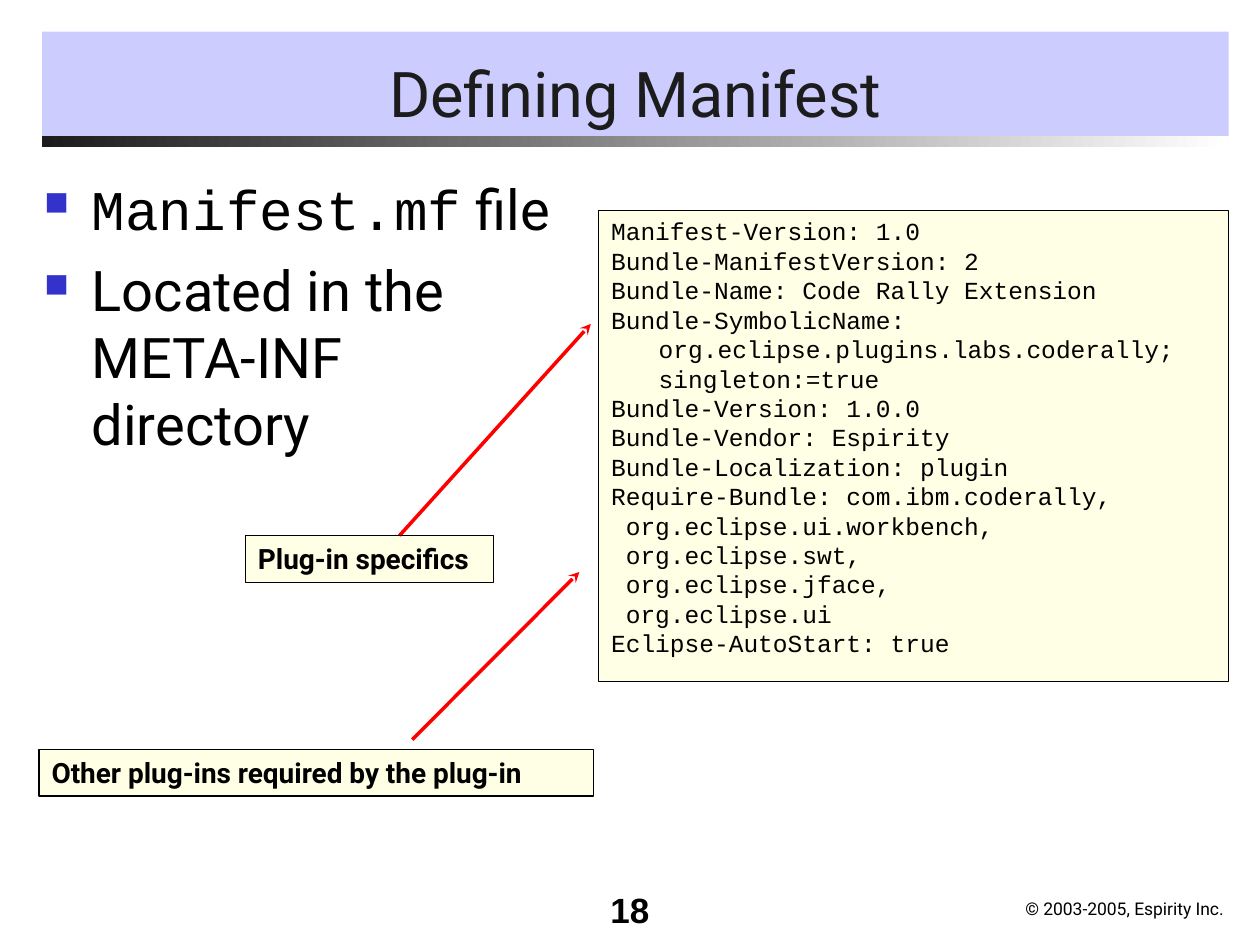
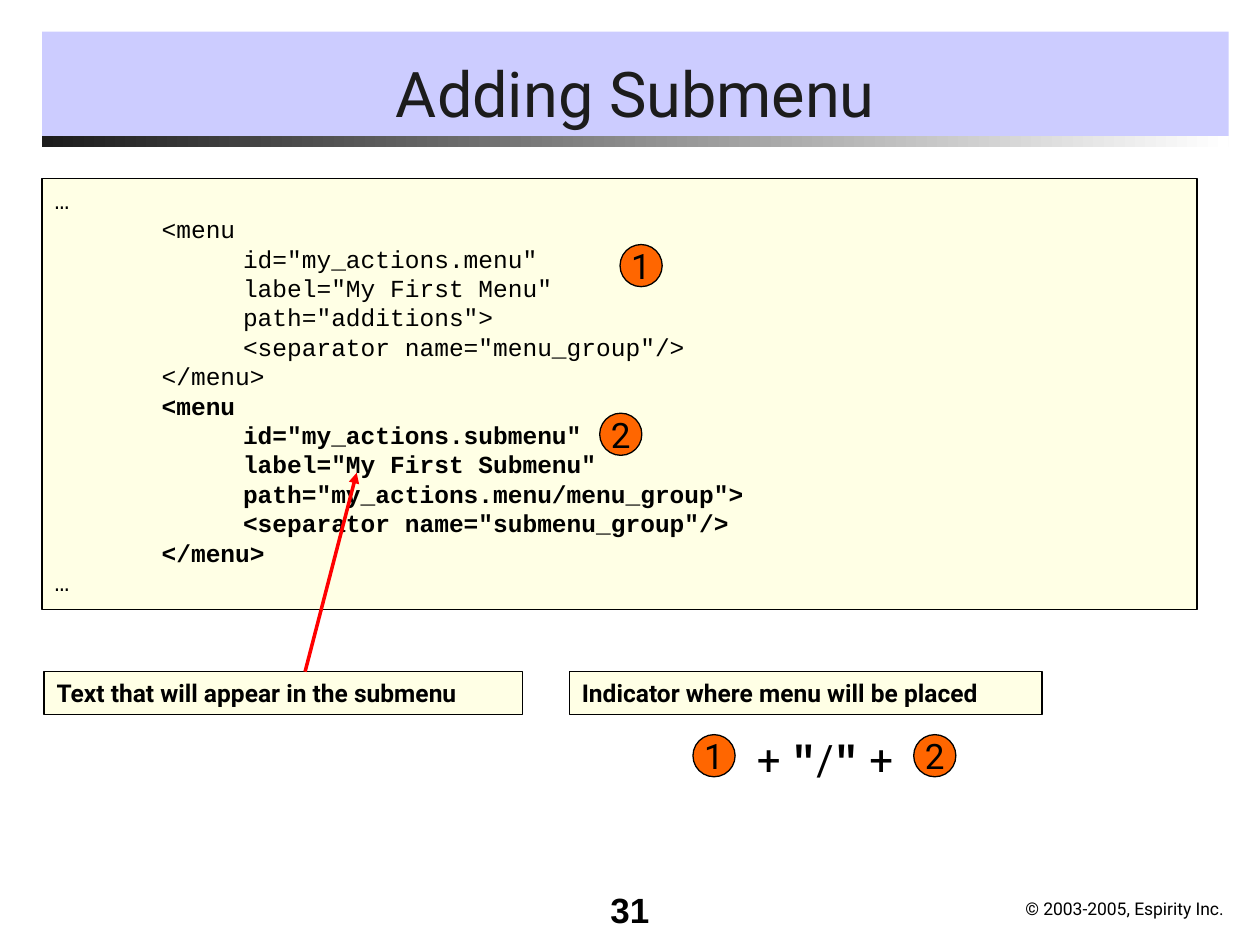
from lxml import etree
from pptx import Presentation
from pptx import util as u
from pptx.dml import color
from pptx.enum import shapes, text
from pptx.oxml.ns import qn

BLACK, CHARCOAL, WHITE = "000000", "1C1C1C", "FFFFFF"
LAVENDER, CREAM, ORANGE, RED, BULLET_BLUE = "CCCCFF", "FFFFCC", "FF6600", "FF0000", "3333CC"
SANS, MONO, NUMBER_FONT = "Roboto", "Courier New", "Arial"
LEFT, CENTER, RIGHT = text.PP_ALIGN.LEFT, text.PP_ALIGN.CENTER, text.PP_ALIGN.RIGHT
HANGING = 0.96
MENU_INDENT, ATTRIBUTE_INDENT = 2.16, 3.8
BADGE_SIZE = 0.85


def rgb(value):
    return color.RGBColor.from_string(value)


def add_xml(parent, tag, **attributes):
    return etree.SubElement(parent, qn(tag), attributes)


def set_indent(paragraph, margin, first_line):
    properties = paragraph._p.get_or_add_pPr()
    properties.set("marL", str(u.Cm(margin)))
    properties.set("indent", str(u.Cm(first_line)))


def add_bullet(paragraph):
    properties = paragraph._p.get_or_add_pPr()
    add_xml(add_xml(properties, "a:buClr"), "a:srgbClr", val=BULLET_BLUE)
    add_xml(properties, "a:buSzPct", val="60000")
    add_xml(properties, "a:buChar", char="■")


def write(paragraph, content, *, size, font=SANS, ink=BLACK, bold=False, align=LEFT):
    """Fill a paragraph from a string or a list of (string, font, bold) runs."""
    paragraph.alignment = align
    runs = [(content, font, bold)] if isinstance(content, str) else content
    for words, run_font, run_bold in runs:
        run = paragraph.add_run()
        run.text = words
        run.font.size = u.Pt(size)
        run.font.name = run_font
        run.font.bold = run_bold
        run.font.color.rgb = rgb(ink)


def next_paragraph(frame, index):
    return frame.add_paragraph() if index else frame.paragraphs[0]


def add_text_box(slide, box):
    frame = slide.shapes.add_textbox(*map(u.Cm, box)).text_frame
    frame.word_wrap = True
    return frame


def add_filled(slide, kind, box, fill, outline=True, opacity=None):
    shape = slide.shapes.add_shape(kind, *map(u.Cm, box))
    shape.shadow.inherit = False
    shape.fill.solid()
    shape.fill.fore_color.rgb = rgb(fill)
    if opacity:
        fill_color = shape.element.spPr.find(qn("a:solidFill")).find(qn("a:srgbClr"))
        add_xml(fill_color, "a:alpha", val=str(opacity * 1000))
    if outline:
        shape.line.color.rgb = rgb(BLACK)
        shape.line.width = u.Pt(0.75)
    else:
        shape.line.fill.background()
    shape.text_frame.word_wrap = True
    return shape


def add_cream_panel(slide, box):
    panel = add_filled(slide, shapes.MSO_SHAPE.RECTANGLE, box, CREAM, opacity=50)
    panel.text_frame.vertical_anchor = text.MSO_ANCHOR.TOP
    return panel.text_frame


def add_title(slide, box, title):
    left, top, width, height = box
    band = add_filled(slide, shapes.MSO_SHAPE.RECTANGLE, box, LAVENDER, outline=False)
    band.text_frame.vertical_anchor = text.MSO_ANCHOR.BOTTOM
    write(band.text_frame.paragraphs[0], title, size=36, ink=CHARCOAL, align=CENTER)
    strip = add_filled(slide, shapes.MSO_SHAPE.RECTANGLE,
                       (left, top + height, width, 0.21), CHARCOAL, outline=False)
    strip.fill.gradient()
    strip.fill.gradient_angle = 0
    for stop, shade in zip(strip.fill.gradient_stops, (CHARCOAL, WHITE)):
        stop.color.rgb = rgb(shade)


def add_footer(slide, box, number):
    left, top, width, height = box
    number_frame = add_text_box(slide, (left, top, 2.12, height))
    write(number_frame.paragraphs[0], number, size=20, font=NUMBER_FONT, bold=True, align=RIGHT)
    copyright_frame = add_text_box(slide, (left + width - 4.7, top + 0.2, 4.7, 0.69))
    write(copyright_frame.paragraphs[0], "© 2003-2005, Espirity Inc.", size=10)


def add_code(slide, box, lines):
    """Lines are (code, indent, bold); unindented lines wrap with a hanging indent."""
    frame = add_cream_panel(slide, box)
    for index, (code, indent, bold) in enumerate(lines):
        paragraph = next_paragraph(frame, index)
        set_indent(paragraph, indent or HANGING, 0 if indent else -HANGING)
        write(paragraph, code, size=14, font=MONO, bold=bold)


def add_label(slide, box, words, size):
    write(add_cream_panel(slide, box).paragraphs[0], words, size=size, bold=True)


def add_bullets(slide, box, items):
    frame = add_text_box(slide, box)
    for index, item in enumerate(items):
        paragraph = next_paragraph(frame, index)
        if index:
            paragraph.space_before = u.Pt(8)
        set_indent(paragraph, HANGING, -HANGING)
        add_bullet(paragraph)
        write(paragraph, item, size=32)


def add_arrow(slide, start, end, head):
    arrow = slide.shapes.add_connector(shapes.MSO_CONNECTOR.STRAIGHT, *map(u.Cm, start + end))
    arrow.line.color.rgb = rgb(RED)
    arrow.line.width = u.Pt(2)
    properties = arrow.element.spPr
    add_xml(properties.find(qn("a:ln")), "a:tailEnd", type=head)
    add_xml(properties, "a:effectLst")


def add_badge(slide, left, top, number):
    badge = add_filled(slide, shapes.MSO_SHAPE.OVAL, (left, top, BADGE_SIZE, BADGE_SIZE), ORANGE)
    frame = badge.text_frame
    frame.margin_left = frame.margin_right = frame.margin_top = frame.margin_bottom = 0
    frame.vertical_anchor = text.MSO_ANCHOR.MIDDLE
    write(frame.paragraphs[0], number, size=20, align=CENTER)


def add_path_formula(slide, box):
    """Show how the two numbered ids join into the menu path."""
    left, top, width, height = box
    add_badge(slide, left, top + 0.15, "1")
    frame = add_text_box(slide, (left + 1.04, top, 3.25, height))
    write(frame.paragraphs[0], [("+ ", SANS, False), ('"', MONO, True), ("/", SANS, False),
                                ('"', MONO, True), (" +", SANS, False)], size=24)
    add_badge(slide, left + width - BADGE_SIZE, top + 0.15, "2")


def menu_lines(identifier, label, location, group, bold):
    attributes = [f'id="{identifier}"', f'label="{label}"', f'path="{location}">',
                  f'<separator name="{group}"/>']
    return [("<menu", MENU_INDENT, bold),
            *((attribute, ATTRIBUTE_INDENT, bold) for attribute in attributes),
            ("</menu>", MENU_INDENT, bold)]


def add_base_slide(presentation, title, number):
    slide = presentation.slides.add_slide(presentation.slide_layouts[6])
    add_title(slide, (0.85, 0.64, 23.92, 2.11), title)
    add_footer(slide, (11.22, 17.78, 13.9, 1.27), number)
    return slide


def build_manifest_slide(presentation):
    slide = add_base_slide(presentation, "Defining Manifest", "18")
    manifest = [
        "Manifest-Version: 1.0",
        "Bundle-ManifestVersion: 2",
        "Bundle-Name: Code Rally Extension",
        "Bundle-SymbolicName: org.eclipse.plugins.labs.coderally; singleton:=true",
        "Bundle-Version: 1.0.0",
        "Bundle-Vendor: Espirity",
        "Bundle-Localization: plugin",
        "Require-Bundle: com.ibm.coderally,",
        " org.eclipse.ui.workbench,",
        " org.eclipse.swt,",
        " org.eclipse.jface,",
        " org.eclipse.ui",
        "Eclipse-AutoStart: true",
    ]
    add_code(slide, (12.07, 4.24, 12.7, 9.5), [(line, 0, False) for line in manifest])
    add_bullets(slide, (0.64, 3.39, 10.8, 13.76), [
        [("Manifest.mf", MONO, False), (" file", SANS, False)],
        "Located in the META-INF directory",
    ])
    add_arrow(slide, (8.05, 10.8), (11.91, 6.53), "stealth")
    add_label(slide, (4.95, 10.8, 5, 0.94), "Plug-in specifics", 16)
    add_arrow(slide, (8.31, 14.91), (11.68, 11.53), "stealth")
    add_label(slide, (0.79, 15.11, 11.18, 0.94), "Other plug-ins required by the plug-in", 16)


def build_submenu_slide(presentation):
    slide = add_base_slide(presentation, "Adding Submenu", "31")
    ellipsis = ("…", 0, False)
    add_code(slide, (0.85, 3.6, 23.28, 8.69), [
        ellipsis,
        *menu_lines("my_actions.menu", "My First Menu", "additions", "menu_group", False),
        *menu_lines("my_actions.submenu", "My First Submenu", "my_actions.menu/menu_group",
                    "submenu_group", True),
        ellipsis,
    ])
    add_badge(slide, 12.5, 4.93, "1")
    add_badge(slide, 12.09, 8.33, "2")
    add_label(slide, (0.89, 13.54, 9.65, 0.86), "Text that will appear in the submenu", 14)
    add_arrow(slide, (6.15, 13.54), (7.19, 9.53), "triangle")
    add_label(slide, (11.48, 13.54, 9.53, 0.86), "Indicator where menu will be placed", 14)
    add_path_formula(slide, (13.97, 14.66, 5.3, 1.27))


def main():
    presentation = Presentation()
    presentation.slide_width = u.Cm(25.4)
    presentation.slide_height = u.Cm(19.05)
    build_manifest_slide(presentation)
    build_submenu_slide(presentation)
    presentation.save("out.pptx")


if __name__ == "__main__":
    main()
